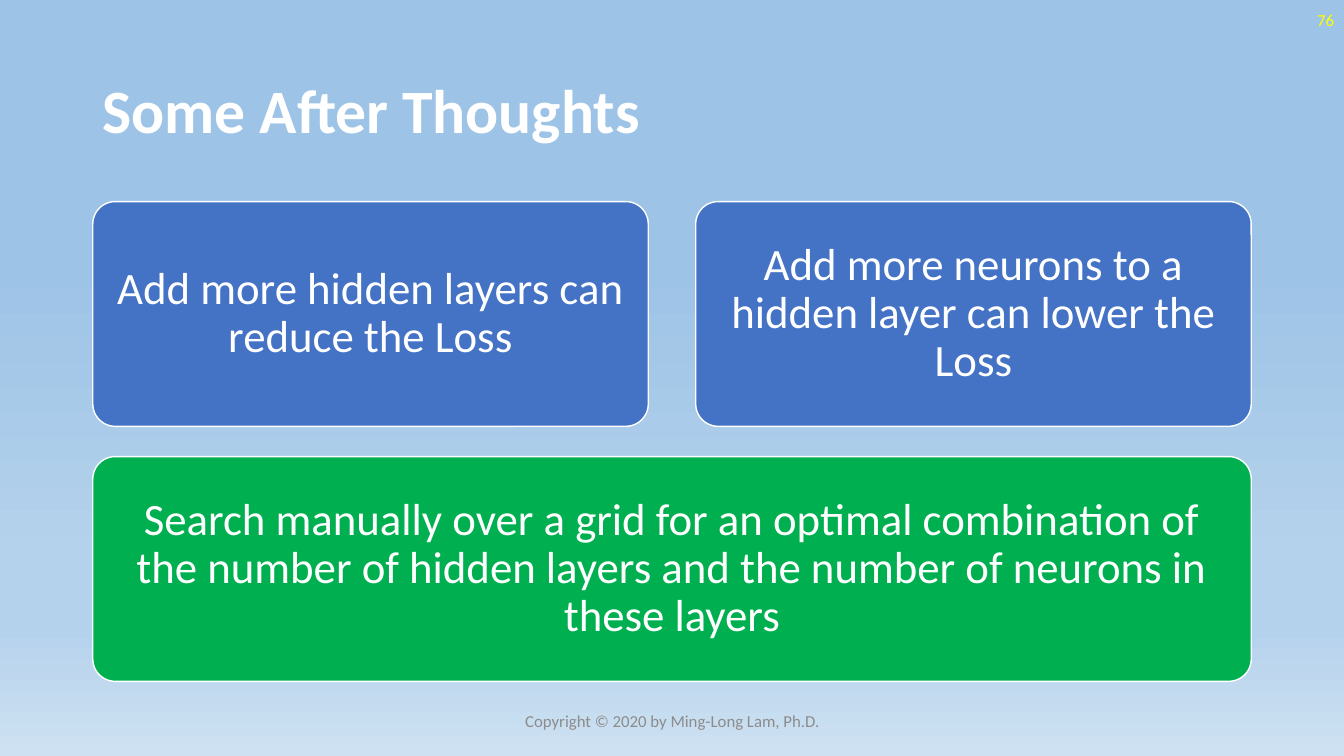
from copy import deepcopy

from pptx import Presentation
from pptx.dml.color import RGBColor
from pptx.enum.shapes import MSO_SHAPE
from pptx.enum.text import MSO_ANCHOR, PP_ALIGN
from pptx.oxml.ns import qn
from pptx.util import Inches, Pt

COLORS = {"white": "FFFFFF", "blue": "4472C4", "green": "00B050",
          "yellow": "FFFF00", "gray": "8C8C8C"}
SKY = [(35, "9DC3E6"), (74, "B5D2EC"), (83, "B5D2EC"), (100, "CEE1F2")]
TITLE = "Some After Thoughts"
PAGE = "76"
COPYRIGHT = "Copyright © 2020 by Ming-Long Lam, Ph.D."
THOUGHTS = [
    [("Add more hidden layers can reduce the Loss", "blue"),
     ("Add more neurons to a hidden layer can lower the Loss", "blue")],
    [("Search manually over a grid for an optimal combination of the number "
      "of hidden layers and the number of neurons in these layers", "green")],
]
LEFT, TOP, WIDTH, CARD_HEIGHT = 0.92, 2, 11.49, 2.23
COLUMN_GAP, ROW_GAP = 0.47, 0.3


def rgb(name):
    """Return the named colour."""
    return RGBColor.from_string(COLORS[name])


def write(shape, text, size, color, align, bold=False, spacing=1.0):
    """Put one styled paragraph in a shape."""
    frame = shape.text_frame
    frame.word_wrap = True
    frame.vertical_anchor = MSO_ANCHOR.MIDDLE
    paragraph = frame.paragraphs[0]
    paragraph.text = text
    paragraph.alignment = align
    paragraph.line_spacing = spacing
    font = paragraph.font
    font.name, font.size, font.bold = "Calibri", Pt(size), bold
    font.color.rgb = rgb(color)


def add_label(slide, box, *style, **options):
    """Add a text box at the given place."""
    write(slide.shapes.add_textbox(*map(Inches, box)), *style, **options)


def add_card(slide, box, text, color):
    """Add a rounded card with centred text."""
    card = slide.shapes.add_shape(MSO_SHAPE.ROUNDED_RECTANGLE, *map(Inches, box))
    card.adjustments[0] = 0.1
    card.shadow.inherit = False
    card.fill.solid()
    card.fill.fore_color.rgb = rgb(color)
    card.line.color.rgb = rgb("white")
    card.line.width = Pt(1)
    frame = card.text_frame
    frame.margin_left = frame.margin_right = Inches(0.13)
    frame.margin_top = frame.margin_bottom = Inches(0.13)
    write(card, text, 32, "white", PP_ALIGN.CENTER, spacing=0.9)


def paint_sky(slide):
    """Fill the background with a vertical gradient."""
    fill = slide.background.fill
    fill.gradient()
    fill.gradient_angle = 270
    stop_list = slide.element.find(".//" + qn("a:gsLst"))
    template = deepcopy(stop_list[0])
    for stop in list(stop_list):
        stop_list.remove(stop)
    for _ in SKY:
        stop_list.append(deepcopy(template))
    for stop, (position, color) in zip(fill.gradient_stops, SKY):
        stop.position = position / 100
        stop.color.rgb = RGBColor.from_string(color)


def main():
    """Build and save the slide."""
    deck = Presentation()
    deck.slide_width, deck.slide_height = Inches(13.33), Inches(7.5)
    slide = deck.slides.add_slide(deck.slide_layouts[6])
    paint_sky(slide)
    add_label(slide, (LEFT, 0.4, 11.5, 1.45), TITLE, 44, "white",
              PP_ALIGN.LEFT, bold=True, spacing=0.9)
    add_label(slide, (10.33, 0, 3, 0.4), PAGE, 12, "yellow", PP_ALIGN.RIGHT)
    for row, cards in enumerate(THOUGHTS):
        card_width = (WIDTH - COLUMN_GAP * (len(cards) - 1)) / len(cards)
        top = TOP + row * (CARD_HEIGHT + ROW_GAP)
        for column, (text, color) in enumerate(cards):
            left = LEFT + column * (card_width + COLUMN_GAP)
            add_card(slide, (left, top, card_width, CARD_HEIGHT), text, color)
    add_label(slide, (4.42, 6.95, 4.5, 0.4), COPYRIGHT, 12, "gray", PP_ALIGN.CENTER)
    deck.save("out.pptx")


if __name__ == "__main__":
    main()
